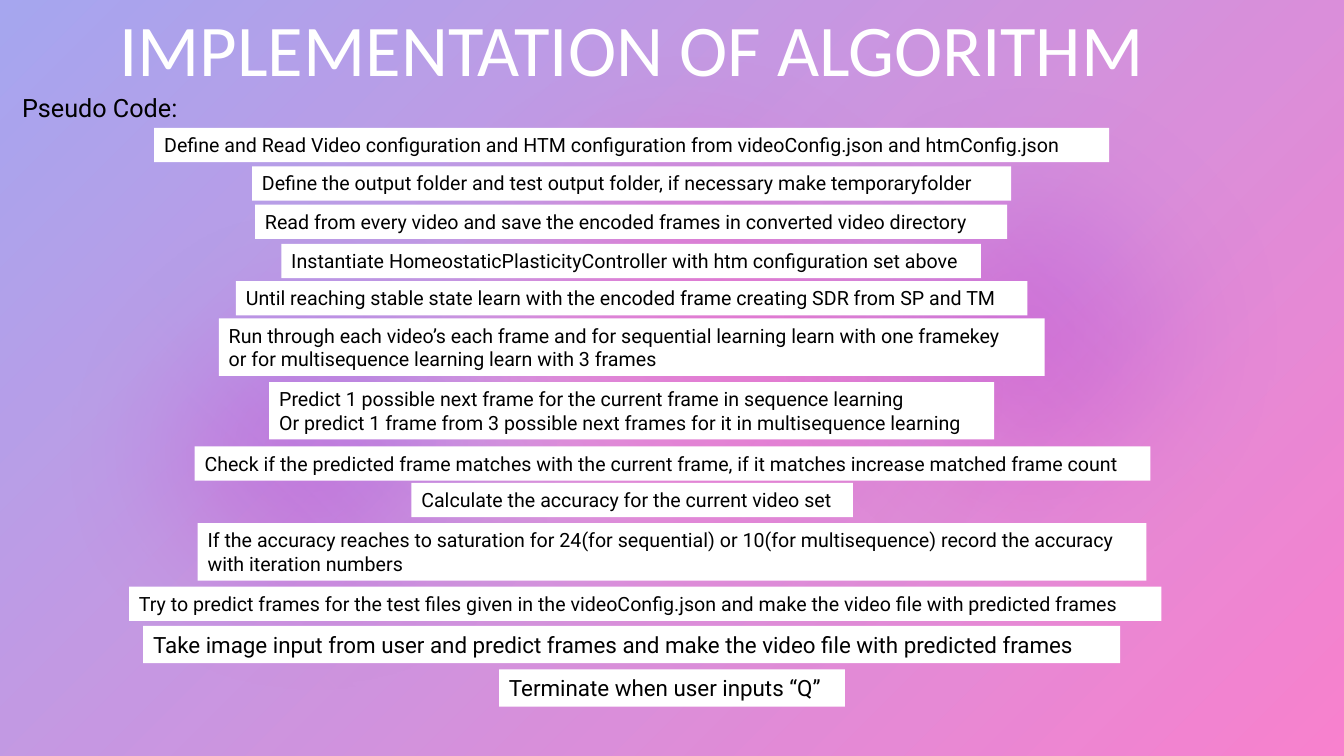
"""Build a slide listing the pseudo code steps of a video prediction algorithm."""

from dataclasses import dataclass

import lxml.etree
import pptx
import pptx.dml.color
import pptx.enum.shapes
import pptx.enum.text
import pptx.oxml.ns
import pptx.util

EMU_PER_PX = 9144
SLIDE_WIDTH, SLIDE_HEIGHT = 1333, 750
TITLE_ONLY = 5


@dataclass(frozen=True)
class Theme:
    """Colours, fonts and type sizes of the slide."""

    white: str = "FFFFFF"
    black: str = "000000"
    veil: str = "EEEEEE"
    blue: str = "4D4EE6"
    violet: str = "7162FE"
    magenta: str = "F900A0"
    blush: str = "FFCBEC"
    title_font: str = "Calibri"
    body_font: str = "Roboto"
    title_size: int = 52
    label_size: int = 18
    large_size: int = 16
    step_size: int = 14
    soft_edge: int = 100


THEME = Theme()


@dataclass(frozen=True)
class Tint:
    """A colour with its opacity in percent."""

    colour: str
    opacity: int


@dataclass(frozen=True)
class Glow:
    """A soft ellipse of the backdrop."""

    left: int
    top: int
    width: int
    height: int
    start: Tint
    end: Tint


@dataclass(frozen=True)
class Step:
    """A boxed step of the pseudo code."""

    left: int
    top: int
    width: int
    lines: tuple[str, ...]
    height: int = 34
    size: int = THEME.step_size


GLOWS = (
    Glow(300, 0, 750, 750, Tint(THEME.blush, 40), Tint(THEME.magenta, 40)),
    Glow(8, 131, 611, 628, Tint(THEME.magenta, 40), Tint(THEME.violet, 20)),
    Glow(705, 21, 630, 628, Tint(THEME.magenta, 20), Tint(THEME.violet, 40)),
)

STEPS = (
    Step(153, 127, 947, ("Define and Read Video configuration and HTM configuration "
                         "from videoConfig.json and htmConfig.json",)),
    Step(250, 165, 753, ("Define the output folder and test output folder, "
                         "if necessary make temporaryfolder",)),
    Step(253, 203, 746, ("Read from every video and save the encoded frames "
                         "in converted video directory",)),
    Step(279, 242, 694, ("Instantiate HomeostaticPlasticityController "
                         "with htm configuration set above",)),
    Step(234, 279, 785, ("Until reaching stable state learn with the encoded frame "
                         "creating SDR from SP and TM",)),
    Step(217, 316, 819, ("Run through each video’s each frame and for sequential learning "
                         "learn with one framekey",
                         "or for multisequence learning learn with 3 frames"), height=57),
    Step(267, 379, 719, ("Predict 1 possible next frame for the current frame "
                         "in sequence learning",
                         "Or predict 1 frame from 3 possible next frames for it "
                         "in multisequence learning"), height=57),
    Step(193, 443, 948, ("Check if the predicted frame matches with the current frame, "
                         "if it matches increase matched frame count",)),
    Step(408, 479, 438, ("Calculate the accuracy for the current video set",)),
    Step(196, 519, 941, ("If the accuracy reaches to saturation for 24(for sequential) "
                         "or 10(for multisequence) record the accuracy",
                         "with iteration numbers"), height=57),
    Step(128, 582, 1024, ("Try to predict frames for the test files given in the "
                          "videoConfig.json and make the video file with predicted frames",)),
    Step(142, 621, 969, ("Take image input from user and predict frames "
                         "and make the video file with predicted frames",),
         height=37, size=THEME.large_size),
    Step(495, 664, 343, ("Terminate when user inputs “Q”",),
         height=37, size=THEME.large_size),
)


def px(length: int) -> pptx.util.Emu:
    """Turn px into EMU."""
    return pptx.util.Emu(length * EMU_PER_PX)


def rgb(colour: str) -> pptx.dml.color.RGBColor:
    """Turn a hex string into a colour."""
    return pptx.dml.color.RGBColor.from_string(colour)


def add_plain_shape(slide, left: int, top: int, width: int, height: int, kind: str = "RECTANGLE"):
    """Add a preset shape without line or shadow."""
    preset = getattr(pptx.enum.shapes.MSO_SHAPE, kind)
    shape = slide.shapes.add_shape(preset, px(left), px(top), px(width), px(height))
    shape.shadow.inherit = False
    shape.line.fill.background()
    return shape


def set_opacity(shape, *opacities: int) -> None:
    """Give each colour of the shape its opacity in percent."""
    colours = shape.element.spPr.iter(pptx.oxml.ns.qn("a:srgbClr"))
    for colour, opacity in zip(colours, opacities):
        alpha = lxml.etree.SubElement(colour, pptx.oxml.ns.qn("a:alpha"))
        alpha.set("val", str(opacity * 1000))


def fill_gradient(shape, start: Tint, end: Tint) -> None:
    """Fill the shape from its top left to its bottom right."""
    shape.fill.gradient()
    shape.fill.gradient_angle = 315
    for stop, tint in zip(shape.fill.gradient_stops, (start, end)):
        stop.color.rgb = rgb(tint.colour)
    set_opacity(shape, start.opacity, end.opacity)


def soften(shape) -> None:
    """Blur the edge of the shape."""
    effects = shape.element.spPr.find(pptx.oxml.ns.qn("a:effectLst"))
    edge = lxml.etree.SubElement(effects, pptx.oxml.ns.qn("a:softEdge"))
    edge.set("rad", str(pptx.util.Pt(THEME.soft_edge)))


def write_text(shape, *lines: str, size: int, font: str = THEME.body_font,
               colour: str = THEME.black, align: str = "LEFT", anchor: str = "TOP",
               fit: str = "SHAPE_TO_FIT_TEXT", wrap: bool = True, spacing: float = 1.0) -> None:
    """Write one paragraph for each line in the given format."""
    frame = shape.text_frame
    frame.word_wrap = wrap
    frame.auto_size = getattr(pptx.enum.text.MSO_AUTO_SIZE, fit)
    frame.vertical_anchor = getattr(pptx.enum.text.MSO_ANCHOR, anchor)
    for index, line in enumerate(lines):
        para = frame.add_paragraph() if index else frame.paragraphs[0]
        para.alignment = getattr(pptx.enum.text.PP_ALIGN, align)
        para.line_spacing = spacing
        span = para.add_run()
        span.text = line
        span.font.name = font
        span.font.size = pptx.util.Pt(size)
        span.font.color.rgb = rgb(colour)


def draw_backdrop(slide) -> None:
    """Draw the gradient, its veil and the glows."""
    wash = add_plain_shape(slide, 0, 0, SLIDE_WIDTH, SLIDE_HEIGHT)
    fill_gradient(wash, Tint(THEME.blue, 60), Tint(THEME.magenta, 60))
    veil = add_plain_shape(slide, 0, 0, SLIDE_WIDTH, SLIDE_HEIGHT)
    veil.fill.solid()
    veil.fill.fore_color.rgb = rgb(THEME.veil)
    set_opacity(veil, 20)
    for glow in GLOWS:
        ellipse = add_plain_shape(slide, glow.left, glow.top, glow.width, glow.height, "OVAL")
        ellipse.rotation = 270
        fill_gradient(ellipse, glow.start, glow.end)
        soften(ellipse)


def draw_headings(slide) -> None:
    """Place the title over the backdrop and add the label."""
    title = slide.shapes.title
    slide.shapes.element.append(title.element)
    title.left, title.top, title.width, title.height = px(0), px(0), px(1253), px(106)
    write_text(title, "IMPLEMENTATION OF ALGORITHM", size=THEME.title_size,
               font=THEME.title_font, colour=THEME.white, align="CENTER",
               anchor="MIDDLE", fit="NONE", spacing=0.9)
    label = slide.shapes.add_textbox(px(12), px(87), px(182), px(40))
    write_text(label, "Pseudo Code:", size=THEME.label_size)


def draw_step(slide, step: Step) -> None:
    """Draw one boxed step."""
    box = add_plain_shape(slide, step.left, step.top, step.width, step.height)
    box.fill.solid()
    box.fill.fore_color.rgb = rgb(THEME.white)
    write_text(box, *step.lines, size=step.size, wrap=False)


def main() -> None:
    """Build and save the deck."""
    deck = pptx.Presentation()
    deck.slide_width, deck.slide_height = px(SLIDE_WIDTH), px(SLIDE_HEIGHT)
    page = deck.slides.add_slide(deck.slide_layouts[TITLE_ONLY])
    draw_backdrop(page)
    draw_headings(page)
    for step in STEPS:
        draw_step(page, step)
    deck.save("out.pptx")


if __name__ == "__main__":
    main()
